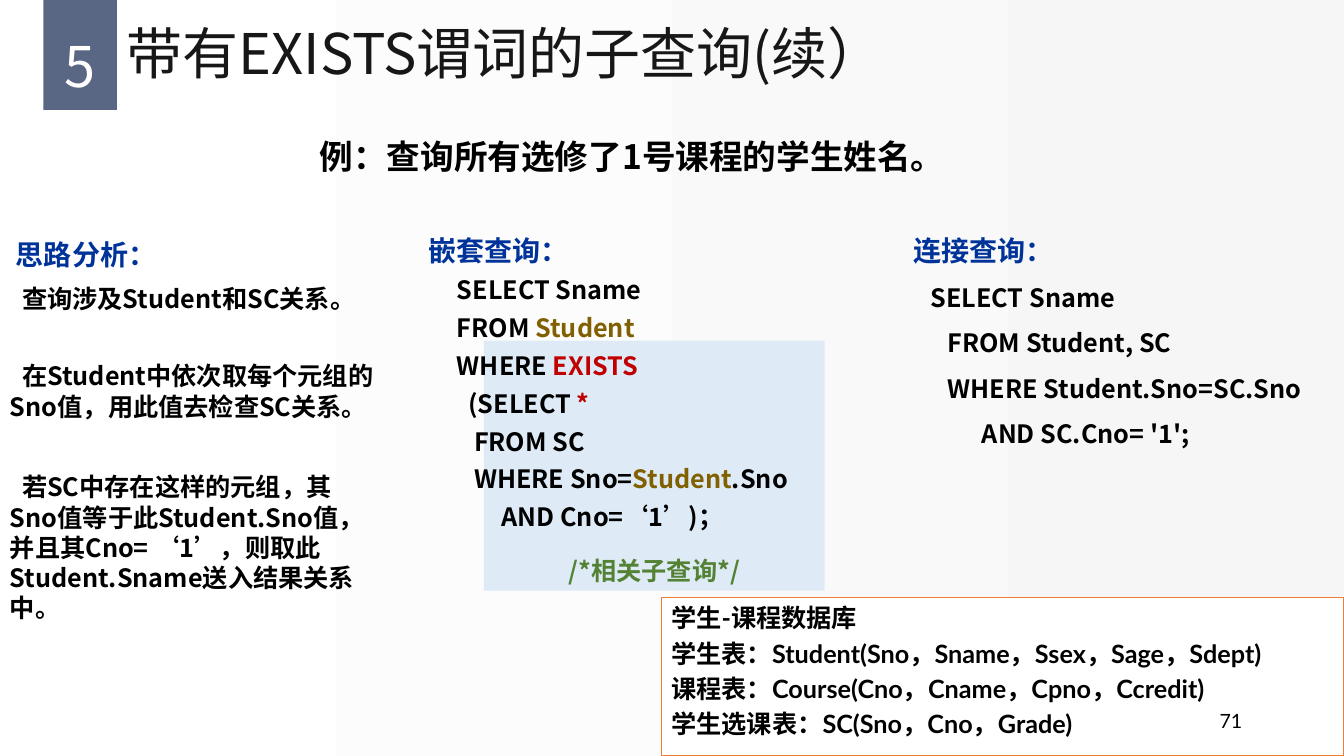
from lxml import etree
from pptx import Presentation
from pptx.dml.color import RGBColor
from pptx.enum import shapes, text
from pptx.oxml.ns import qn
from pptx.util import Inches, Pt

SANS, LATO = "Noto Sans CJK SC", "Lato"
WHITE = RGBColor(0xFF, 0xFF, 0xFF)
BLACK = RGBColor(0, 0, 0)
MIST = RGBColor(0xF6, 0xF6, 0xF6)
SLATE = RGBColor(0x59, 0x67, 0x84)
INK = RGBColor(0x18, 0x17, 0x17)
NAVY = RGBColor(0, 0x33, 0x99)
OLIVE = RGBColor(0x80, 0x60, 0)
RED = RGBColor(0xC0, 0, 0)
GREEN = RGBColor(0x54, 0x82, 0x35)
PALE_BLUE = RGBColor(0xDE, 0xEB, 0xF7)
ORANGE = RGBColor(0xED, 0x7D, 0x31)
LEFT, CENTER, RIGHT = text.PP_ALIGN.LEFT, text.PP_ALIGN.CENTER, text.PP_ALIGN.RIGHT
TOP, MIDDLE, BOTTOM = text.MSO_ANCHOR.TOP, text.MSO_ANCHOR.MIDDLE, text.MSO_ANCHOR.BOTTOM
LINE = 1.2


def add_panel(slide, box, fill, line=None):
    """Add a flat rectangle."""
    panel = slide.shapes.add_shape(shapes.MSO_SHAPE.RECTANGLE, *map(Inches, box))
    panel.shadow.inherit = False
    panel.fill.solid()
    panel.fill.fore_color.rgb = fill
    if line is None:
        panel.line.fill.background()
    else:
        panel.line.color.rgb = line
        panel.line.width = Pt(1)
    return panel


def add_frame(slide, box, anchor=TOP):
    """Add a wrapping text box and return its text frame."""
    frame = slide.shapes.add_textbox(*map(Inches, box)).text_frame
    frame.word_wrap = True
    frame.vertical_anchor = anchor
    return frame


def write(frame, content, size, color=BLACK, bold=True, spacing=1, align=LEFT,
          before=0, indent=0, face=SANS):
    """Fill the next paragraph with a string or (string, colour) pieces."""
    first = frame.paragraphs[0]
    paragraph = frame.add_paragraph() if first.runs else first
    paragraph.alignment = align
    paragraph.line_spacing = Pt(round(size * LINE * spacing, 1))
    paragraph.space_before = Pt(before)
    if indent:
        paragraph._p.get_or_add_pPr().set("indent", str(Inches(indent)))
    font = paragraph.font
    font.size, font.bold, font.name = Pt(size), bold, face
    font.color.rgb = color
    defaults = paragraph._p.pPr.find(qn("a:defRPr"))
    etree.SubElement(defaults, qn("a:ea")).set("typeface", SANS)
    pieces = [(content, None)] if isinstance(content, str) else content
    for words, tint in pieces:
        run = paragraph.add_run()
        run.text = words
        if tint is not None:
            run.font.color.rgb = tint


def add_header(slide, left, top):
    """Place the chapter badge and the title."""
    add_panel(slide, (left, top, 0.73, 1.09), SLATE)
    chapter = add_frame(slide, (left, top + 0.11, 0.73, 0.79))
    chapter.margin_left = chapter.margin_right = 0
    chapter.margin_top = chapter.margin_bottom = 0
    write(chapter, "5", 40, WHITE, False, 1.3, CENTER)
    title = add_frame(slide, (left + 0.73, top, 9.92, 1.1), MIDDLE)
    write(title, "带有EXISTS谓词的子查询(续）", 40, INK, False, 0.9)


def add_example(slide, box):
    """Place the example question."""
    write(add_frame(slide, box), "例：查询所有选修了1号课程的学生姓名。", 24,
          spacing=1.5, align=CENTER)


def add_analysis(slide, box):
    """Place the reasoning steps."""
    analysis = add_frame(slide, box)
    write(analysis, "思路分析：", 20, NAVY, indent=0.06)
    steps = [
        ("查询涉及Student和SC关系。", 1.4, 0),
        ("在Student中依次取每个元组的Sno值，用此值去检查SC关系。", 1, 33.6),
        ("若SC中存在这样的元组，其Sno值等于此Student.Sno值，并且其Cno= ‘1’，"
         "则取此Student.Sname送入结果关系中。", 1, 36),
    ]
    for step, spacing, before in steps:
        write(analysis, step, 18, spacing=spacing, before=before, indent=0.12)


def add_query(slide, box, heading, code, spacing):
    """Place a heading with its SQL lines."""
    query = add_frame(slide, box)
    write(query, heading, 20, NAVY, spacing=1.5)
    for line in code:
        write(query, line, 18, spacing=spacing)


def add_nested_query(slide, left, top):
    """Place the nested query over its highlighted subquery."""
    subquery = add_panel(slide, (left + 0.65, top + 1.28, 3.38, 2.48), PALE_BLUE).text_frame
    subquery.vertical_anchor = BOTTOM
    write(subquery, "/*相关子查询*/", 18, GREEN, align=CENTER)
    code = [
        "     SELECT Sname",
        [("     FROM ", None), ("Student", OLIVE)],
        [("     WHERE ", None), ("EXISTS", RED)],
        [("       (SELECT ", None), ("*", RED)],
        "        FROM SC",
        [("        WHERE Sno=", None), ("Student", OLIVE), (".Sno", None)],
        "\t    AND Cno=‘1’)；",
    ]
    add_query(slide, (left, top, 4.23, 3.22), "嵌套查询：", code, 1.25)


def add_join_query(slide, left, top):
    """Place the join query."""
    code = [
        "   SELECT Sname",
        "      FROM Student, SC",
        "      WHERE Student.Sno=SC.Sno",
        "            AND SC.Cno= '1';",
    ]
    add_query(slide, (left, top, 4.23, 2.35), "连接查询：", code, 1.5)


def add_schema(slide, box):
    """Place the database schema and the page number."""
    schema = add_panel(slide, box, WHITE, ORANGE).text_frame
    schema.word_wrap = True
    schema.vertical_anchor = TOP
    tables = [
        "学生-课程数据库",
        "学生表：Student(Sno，Sname，Ssex，Sage，Sdept)",
        "课程表：Course(Cno，Cname，Cpno，Ccredit)",
        "学生选课表：SC(Sno，Cno，Grade)",
    ]
    for row, table in enumerate(tables):
        write(schema, table, 18, before=3.6 if row else 0, face=LATO)
    left, top = box[:2]
    page = add_frame(slide, (left + 2.86, top + 1.02, 3, 0.4), MIDDLE)
    write(page, "71", 14, bold=False, align=RIGHT, face=LATO)


def add_exists_slide(deck):
    """Build the slide on EXISTS subqueries."""
    slide = deck.slides.add_slide(deck.slide_layouts[6])
    backdrop = slide.background.fill
    backdrop.gradient()
    backdrop.gradient_angle = 0
    for stop, color in zip(backdrop.gradient_stops, (WHITE, MIST)):
        stop.color.rgb = color
    add_header(slide, 0.43, 0)
    add_example(slide, (0.85, 1.1, 10.84, 0.88))
    add_analysis(slide, (0, 2.31, 3.81, 5.19))
    add_nested_query(slide, 4.15, 2.1)
    add_join_query(slide, 8.96, 2.1)
    add_schema(slide, (6.56, 5.93, 6.77, 1.57))


def main():
    """Create and save the deck."""
    deck = Presentation()
    deck.slide_width, deck.slide_height = Inches(13.33), Inches(7.5)
    add_exists_slide(deck)
    deck.save("out.pptx")


if __name__ == "__main__":
    main()
